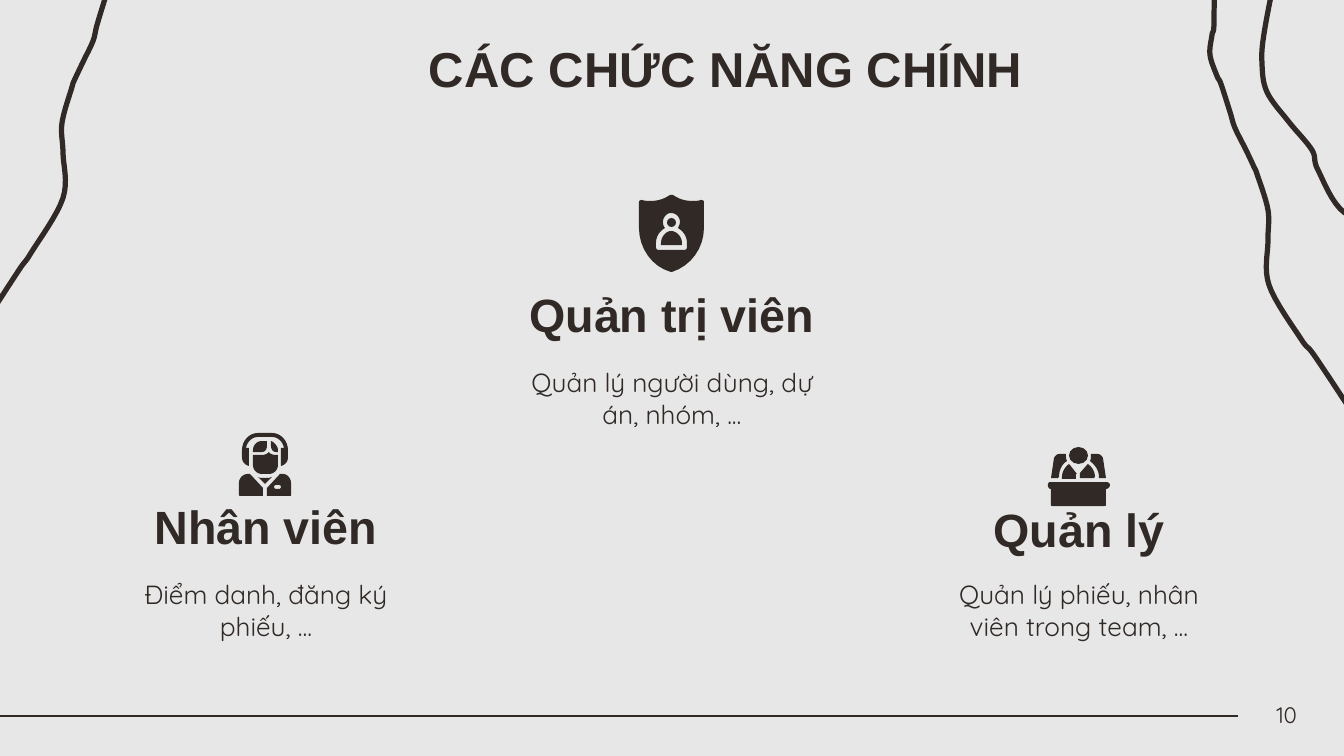
from pptx import Presentation, util as u
from pptx.dml.color import RGBColor
from pptx.enum import shapes, text

PX = 12192000 / 1344
STEPS = 8  # straight pieces per curve


class Theme:
    ink = RGBColor.from_string("302926")
    paper = RGBColor.from_string("E7E7E7")
    heading_font, body_font = "Arial", "Quicksand"
    title, role, body, page = u.Pt(35), u.Pt(33.3), u.Pt(18.7), u.Pt(16)
    contour, rule = u.Pt(3.75), u.Pt(1.5)


# Winding contour lines at the slide edges: points along each line
CONTOURS = [
    [(1214, -31), (1214, 24), (1212, 35), (1210, 55), (1217, 76), (1221, 84),
     (1230, 112), (1235, 128), (1246, 150), (1254, 167), (1257, 174),
     (1268, 210), (1268, 240), (1269, 285), (1301, 339), (1314, 355),
     (1348, 406), (1374, 445), (1394, 473)],
    [(1286, -71), (1275, -23), (1264, 34), (1262, 63), (1267, 92),
     (1289, 122), (1312, 150), (1318, 170), (1345, 213), (1396, 225),
     (1584, 291), (1583, 307)],
    [(110, -119), (111, -64), (113, -53), (116, -33), (110, -12), (106, -4),
     (97, 25), (93, 41), (83, 62), (74, 81), (72, 87), (62, 123), (63, 153),
     (63, 198), (31, 253), (19, 270), (-14, 321), (-38, 360), (-57, 390)],
]

# Icon parts: outlines are lists of contours; a pair is a corner,
# six numbers are a cubic curve. A part of four numbers is an oval.
SHIELD = [
    [[(32, 36), (27, 36, 22, 42, 22, 48), (22, 50), (43, 50), (43, 48),
      (43, 42, 38, 36, 32, 36)]],
    (28, 23, 9, 9),
    [[(33, 0), (32, 0, 32, 0, 31, 0), (25, 4, 19, 6, 12, 6),
      (9, 6, 6, 6, 3, 5), (1, 5, 0, 6, 0, 7), (0, 33),
      (0, 53, 13, 72, 32, 77), (33, 77), (52, 71, 65, 53, 65, 33), (65, 7),
      (65, 6, 64, 5, 62, 5), (59, 6, 56, 6, 53, 6), (46, 6, 40, 4, 34, 0)],
     [(32, 18), (37, 18, 41, 22, 41, 27), (41, 29, 40, 31, 39, 33),
      (44, 36, 48, 41, 48, 48), (48, 52), (48, 54, 47, 55, 45, 55), (20, 55),
      (18, 55, 17, 54, 17, 52), (17, 48), (17, 41, 21, 36, 26, 33),
      (25, 32, 24, 30, 24, 27), (24, 22, 28, 18, 32, 18)]],
]
HEADSET = [
    [[(9, 41), (4, 41, 0, 45, 0, 50), (0, 62), (0, 63, 1, 63, 2, 63),
      (24, 63), (24, 55), (11, 41)]],
    [[(33, 44), (32, 44, 31, 45, 29, 45), (23, 45), (22, 45, 21, 45, 19, 44),
      (26, 51)]],
    [[(41, 41), (28, 55), (28, 63), (51, 63), (52, 63, 52, 63, 52, 62),
      (52, 50), (52, 45, 48, 41, 44, 41)],
     [(40, 52), (41, 52, 42, 53, 42, 54), (42, 55, 41, 56, 40, 56), (37, 56),
      (36, 56, 35, 55, 35, 54), (35, 53, 36, 52, 37, 52)]],
    [[(19, 0), (10, 0, 3, 8, 3, 17), (3, 24), (3, 29, 6, 32, 10, 33),
      (10, 15), (7, 15), (8, 9, 13, 4, 19, 4), (33, 4),
      (39, 4, 44, 9, 45, 15), (42, 15), (42, 33), (46, 32, 49, 29, 49, 24),
      (49, 17), (49, 8, 42, 0, 33, 0)]],
    [[(23, 8), (18, 8, 14, 12, 14, 17), (14, 19), (23, 19),
      (26, 19, 28, 16, 28, 13), (28, 8)]],
    [[(32, 8), (32, 13), (32, 16, 34, 19, 37, 19), (39, 19), (39, 17),
      (39, 13, 35, 9, 32, 8)]],
    [[(30, 19), (28, 21, 26, 22, 23, 22), (14, 22), (14, 32),
      (14, 37, 18, 41, 23, 41), (30, 41), (35, 41, 39, 37, 39, 32), (39, 22),
      (37, 22), (34, 22, 31, 21, 30, 19)]],
]
DESK = [
    (21, 0, 19, 17),
    [[(3, 35), (1, 35, 0, 36, 0, 38), (0, 40, 1, 42, 3, 42), (3, 58),
      (3, 59, 4, 59, 5, 59), (56, 59), (57, 59, 58, 59, 58, 58), (58, 42),
      (60, 42, 62, 40, 62, 38), (62, 36, 60, 35, 58, 35)]],
    [[(43, 7), (43, 9), (43, 11, 43, 12, 42, 14), (47, 18, 51, 23, 51, 30),
      (51, 31), (58, 31), (55, 11), (54, 9, 52, 7, 50, 7)]],
    [[(11, 7), (9, 7, 7, 9, 6, 11), (3, 31), (10, 31), (11, 30),
      (11, 23, 14, 17, 19, 14), (18, 12, 18, 11, 18, 9), (18, 7)]],
    [[(40, 17), (39, 18), (32, 26), (32, 31), (46, 31), (47, 30),
      (47, 24, 44, 20, 40, 17)]],
    [[(21, 17), (17, 20, 14, 25, 14, 30), (14, 32), (28, 32), (28, 27),
      (29, 27), (22, 18)]],
]

# Role, duties, left edge, role top, duties top, icon, icon corner
ROLES = [
    ("Nhân viên", "Điểm danh, đăng ký phiếu, ...", 106, 487, 546,
     HEADSET, (239, 433)),
    ("Quản trị viên", "Quản lý người dùng, dự án, nhóm, ...", 512, 275, 334,
     SHIELD, (639, 195)),
    ("Quản lý", "Quản lý phiếu, nhân viên trong team, ...", 919, 490, 546,
     DESK, (1048, 447)),
]


def px(*lengths):
    return [round(length * PX) for length in lengths]


def apply(target, values):
    for name, value in values.items():
        setattr(target, name, value)


def flatten(contour):
    """Turn corners and cubic curves into a list of points in EMU."""
    points = [contour[0]]
    for step in contour[1:]:
        if len(step) == 2:
            points.append(step)
            continue
        knots = [points[-1], step[:2], step[2:4], step[4:]]
        for i in range(1, STEPS + 1):
            t = i / STEPS
            weights = ((1 - t) ** 3, 3 * t * (1 - t) ** 2,
                       3 * t * t * (1 - t), t ** 3)
            points.append(tuple(sum(w * k[axis] for w, k in zip(weights, knots))
                                for axis in (0, 1)))
    return [tuple(px(*point)) for point in points]


def smooth(points):
    """Join points by cubic curves with even tangents."""
    ends = [points[0], *points, points[-1]]
    curve = [points[0]]
    for before, start, end, after in zip(ends, ends[1:], ends[2:], ends[3:]):
        lead = [s + (e - b) / 6 for b, s, e in zip(before, start, end)]
        trail = [e - (a - s) / 6 for s, e, a in zip(start, end, after)]
        curve.append((*lead, *trail, *end))
    return curve


def add_outline(parent, contours, origin=(0, 0), closed=True):
    first, *holes = [flatten(contour) for contour in contours]
    builder = parent.build_freeform(*first[0], scale=1.0)
    builder.add_line_segments(first[1:], close=closed)
    for hole in holes:
        builder.move_to(*hole[0])
        builder.add_line_segments(hole[1:], close=closed)
    outline = builder.convert_to_shape(*px(*origin))
    outline.shadow.inherit = False
    return outline


def add_contour(slide, points):
    contour = add_outline(slide.shapes, [smooth(points)], closed=False)
    contour.fill.background()
    contour.line.color.rgb = Theme.ink
    contour.line.width = Theme.contour


def add_icon(slide, parts, corner):
    icon = slide.shapes.add_group_shape().shapes
    for part in parts:
        if isinstance(part, tuple):
            left, top, width, height = part
            piece = icon.add_shape(
                shapes.MSO_SHAPE.OVAL,
                *px(corner[0] + left, corner[1] + top, width, height))
            piece.shadow.inherit = False
        else:
            piece = add_outline(icon, part, corner)
        piece.fill.solid()
        piece.fill.fore_color.rgb = Theme.ink
        piece.line.fill.background()


def write(box, words, font, size, align, inset=13, bold=False):
    frame = box.text_frame
    frame.text = words
    margins = {f"margin_{side}": px(inset)[0]
               for side in ("left", "top", "right", "bottom")}
    apply(frame, {"word_wrap": True, "auto_size": text.MSO_AUTO_SIZE.NONE,
                  "vertical_anchor": text.MSO_ANCHOR.MIDDLE, **margins})
    paragraph = frame.paragraphs[0]
    paragraph.alignment = align
    run_font = paragraph.runs[0].font
    apply(run_font, {"name": font, "size": size, "bold": bold})
    run_font.color.rgb = Theme.ink


def add_text(slide, area, *words, **options):
    write(slide.shapes.add_textbox(*px(*area)), *words, **options)


def main():
    deck = Presentation()
    apply(deck, {"slide_width": px(1344)[0], "slide_height": px(756)[0]})
    slide = deck.slides.add_slide(deck.slide_layouts[5])
    slide.background.fill.solid()
    slide.background.fill.fore_color.rgb = Theme.paper
    align = text.PP_ALIGN

    # Edge decoration
    for points in CONTOURS:
        add_contour(slide, points)

    # Title
    title = slide.shapes.title
    apply(title, dict(zip(("left", "top", "width", "height"),
                          px(419, 36, 850, 64))))
    write(title, "CÁC CHỨC NĂNG CHÍNH", Theme.heading_font, Theme.title,
          align.LEFT, inset=10, bold=True)

    # Roles with their duties and icons
    for role, duties, left, role_top, duties_top, icon, corner in ROLES:
        add_text(slide, (left, role_top, 320, 78), role, Theme.heading_font,
                 Theme.role, align.CENTER, bold=True)
        add_text(slide, (left, duties_top, 320, 128), duties, Theme.body_font,
                 Theme.body, align.CENTER)
        add_icon(slide, icon, corner)

    # Footer rule and page number
    rule = slide.shapes.add_connector(shapes.MSO_CONNECTOR.STRAIGHT,
                                      *px(-48, 716, 1238, 716))
    rule.line.color.rgb = Theme.ink
    rule.line.width = Theme.rule
    rule._element.spPr.get_or_add_effectLst() if hasattr(
        rule._element.spPr, "get_or_add_effectLst") else None
    add_text(slide, (930, 680, 380, 70), "10", Theme.body_font, Theme.page,
             align.RIGHT)

    deck.save("out.pptx")


if __name__ == "__main__":
    main()
